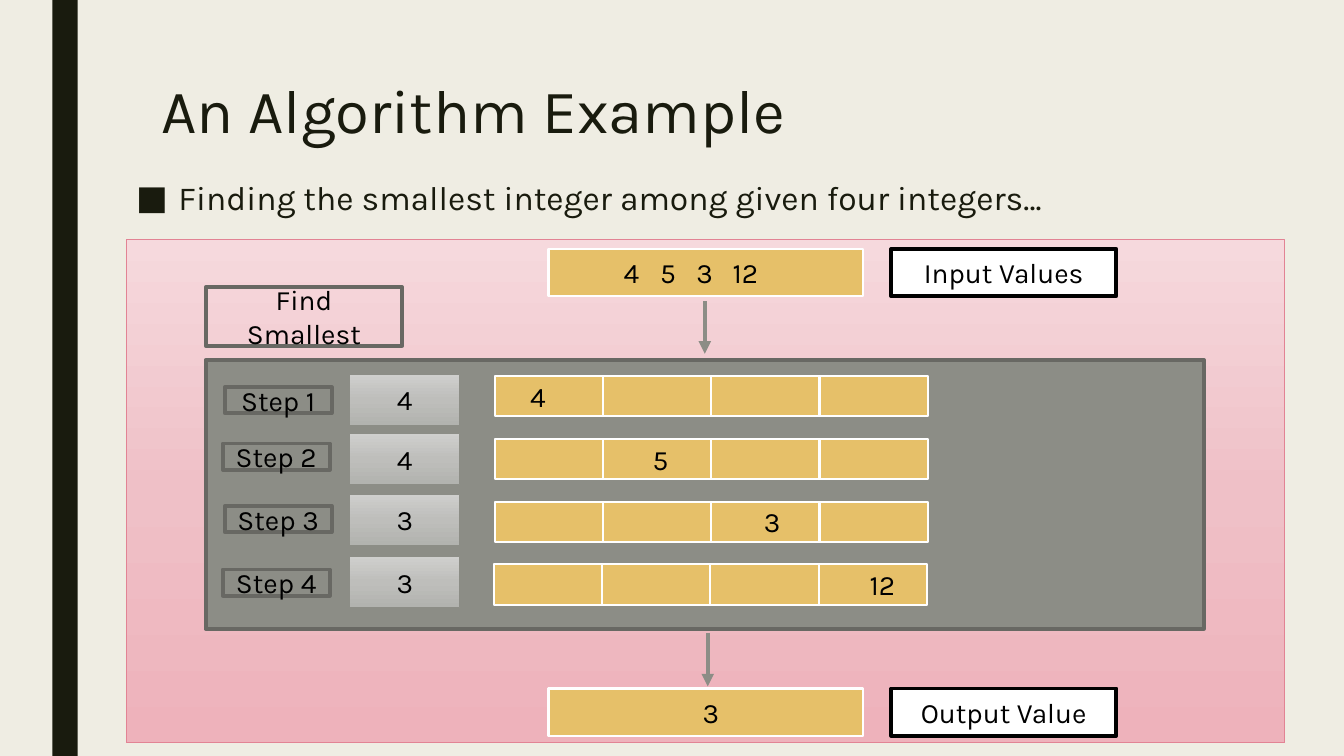
from copy import deepcopy
from dataclasses import dataclass
from typing import NamedTuple

from lxml.etree import SubElement as Sub
from pptx import Presentation
from pptx.dml.color import RGBColor as Rgb
from pptx.enum.shapes import MSO_CONNECTOR as Conn, MSO_SHAPE as Kind
from pptx.enum.text import MSO_ANCHOR as Anchor, PP_ALIGN as Align
from pptx.oxml.ns import qn
from pptx.util import Inches, Pt

WIDE, HIGH = Inches(13.33), Inches(7.5)


@dataclass(frozen=True)
class Theme:
    font: str = "Karla"
    head: int = 44
    lead: int = 24
    body: int = 20
    page: str = "EFEDE3"
    ink: str = "191B0E"
    black: str = "000000"
    white: str = "FFFFFF"
    gold: str = "E6C069"
    gray: str = "8C8D86"
    edge: str = "686863"
    rose: str = "E28394"
    blush: tuple[str, ...] = ("F6D9DD", "EFC0C7", "EEB2BB")
    steel: tuple[str, ...] = ("CFCFCD", "BEBEBB", "B2B3AF")


T = Theme()


class Look(NamedTuple):
    fill: str | tuple[str, ...] | None
    line: str | None
    width: float = 0


BAR = Look(T.ink, None)
PANEL = Look(T.blush, T.rose, 0.5)
GOLD = Look(T.gold, T.white, 1.5)
LABEL = Look(T.white, T.black, 2.75)
STAGE = Look(T.gray, T.edge, 2.75)
VALUE = Look(T.steel, T.gray, 0.5)
NAME = Look(None, T.edge, 2.75)


class Box(NamedTuple):
    """Place and size in percent of the slide's width and height."""
    x: float
    y: float
    w: float
    h: float

    def emu(self) -> tuple[int, ...]:
        sides = (WIDE, HIGH, WIDE, HIGH)
        return tuple(round(v * s / 100) for v, s in zip(self, sides))


class Step(NamedTuple):
    least: str    # smallest value so far
    seen: str     # value being read
    shift: float  # sideways move of that value, percent of width
    name: tuple[float, float]
    top: float    # top of the gray value box
    left: float   # left edge of the gold row


STEPS = (
    Step("4", "4", -0.82, (16.73, 51.2), 49.47, 36.83),
    Step("4", "5", 0.25, (16.58, 58.67), 57.33, 36.83),
    Step("3", "3", 0.5, (16.73, 66.93), 65.33, 36.83),
    Step("3", "12", 0.72, (16.58, 75.33), 73.6, 36.76),
)
COL, ROW, FIRST = 8.05, 8.31, 49.73


def write(shape, text: str, *, size: int = T.body, color: str = T.black,
          align=Align.CENTER, anchor=Anchor.MIDDLE, space: float | None = None,
          shift: float = 0, pad: float = 0.75):
    """Put text in a shape; shift and pad are percent of slide width."""
    frame = shape.text_frame
    frame.word_wrap = True
    frame.vertical_anchor = anchor
    frame.margin_left = round(WIDE * (pad + max(2 * shift, 0)) / 100)
    frame.margin_right = round(WIDE * (pad + max(-2 * shift, 0)) / 100)
    para = frame.paragraphs[0]
    para.alignment = align
    if space:
        para.line_spacing = space
    run = para.add_run()
    run.text = text
    run.font.name, run.font.size = T.font, Pt(size)
    run.font.color.rgb = Rgb.from_string(color)
    return para


def shade(shape, tones: tuple[str, ...]) -> None:
    fill = shape.fill
    fill.gradient()
    fill.gradient_angle = 270
    stops = next(shape.element.iter(qn("a:gsLst")))
    stops.append(deepcopy(stops[-1]))
    for i, (stop, tone) in enumerate(zip(fill.gradient_stops, tones)):
        stop.position = i / (len(tones) - 1)
        stop.color.rgb = Rgb.from_string(tone)


def block(slide, box: Box, look: Look):
    shape = slide.shapes.add_shape(Kind.RECTANGLE, *box.emu())
    shape.shadow.inherit = False
    if look.fill is None:
        shape.fill.background()
    elif isinstance(look.fill, tuple):
        shade(shape, look.fill)
    else:
        shape.fill.solid()
        shape.fill.fore_color.rgb = Rgb.from_string(look.fill)
    if look.line:
        shape.line.color.rgb = Rgb.from_string(look.line)
        shape.line.width = Pt(look.width)
    else:
        shape.line.fill.background()
    return shape


def arrow(slide, x: float, top: float, end: float) -> None:
    left, y, _, tall = Box(x, top, 0, end - top).emu()
    line = slide.shapes.add_connector(Conn.STRAIGHT, left, y, left, y + tall)
    line.line.color.rgb = Rgb.from_string(T.gray)
    line.line.width = Pt(3)
    Sub(line.line.fill._xPr, qn("a:tailEnd"), type="triangle")
    Sub(line.element.spPr, qn("a:effectLst"))


def heading(slide) -> None:
    title = slide.shapes.title
    title.left, title.top, title.width, title.height = Box(
        11.25, 10, 78.77, 21.6).emu()
    write(title, "An Algorithm Example", size=T.head, color=T.ink,
          align=Align.LEFT, anchor=Anchor.TOP, space=0.89)
    lead = slide.shapes.add_textbox(*Box(9.38, 23.2, 81.25, 70).emu())
    para = write(lead, "Finding the smallest integer among given four integers…",
                 size=T.lead, color=T.ink, align=Align.LEFT,
                 anchor=Anchor.TOP, space=0.94)
    para.space_before, para.space_after = Pt(10), Pt(2)
    props = para._p.get_or_add_pPr()
    props.set("marL", str(Inches(0.42)))
    props.set("indent", str(-Inches(0.42)))
    Sub(props, qn("a:buFont"), typeface=T.font)
    Sub(props, qn("a:buChar"), char="■")


def ends(slide) -> None:
    """Input row above the stage and output row below it."""
    source, result = (block(slide, Box(40.81, y, 23.41, 6.27), GOLD)
                      for y in (32.93, 91.07))
    para = write(source, "4\t5\t3\t12", align=Align.LEFT, pad=5.6)
    tabs = Sub(para._p.get_or_add_pPr(), qn("a:tabLst"))
    for i in range(1, 4):
        Sub(tabs, qn("a:tab"), pos=str(Inches(0.36) * i), algn="l")
    write(result, "3", shift=0.38)
    for y, text in ((32.93, "Input Values"), (91.07, "Output Value")):
        write(block(slide, Box(66.32, y, 16.73, 6.27), LABEL), text)
    arrow(slide, 52.44, 39.87, 46.8)
    arrow(slide, 52.66, 83.73, 90.8)


def steps(slide) -> None:
    block(slide, Box(15.3, 47.6, 74.27, 35.6), STAGE)
    for i, step in enumerate(STEPS):
        write(block(slide, Box(26.03, step.top, 8.18, 6.8), VALUE), step.least)
        write(block(slide, Box(*step.name, 7.95, 3.47), STAGE), f"Step {i + 1}")
        for j in range(len(STEPS)):
            cell = block(slide, Box(step.left + j * COL, FIRST + i * ROW,
                                    COL, 5.33), GOLD)
            if j == i:
                write(cell, step.seen, shift=step.shift)
    write(block(slide, Box(15.3, 38, 14.63, 7.73), NAME), "Find Smallest",
          pad=1.2)


def main() -> None:
    deck = Presentation()
    deck.slide_width, deck.slide_height = WIDE, HIGH
    slide = deck.slides.add_slide(deck.slide_layouts[5])
    slide.background.fill.solid()
    slide.background.fill.fore_color.rgb = Rgb.from_string(T.page)
    # Frame and heading
    block(slide, Box(3.9, 0, 1.88, 100), BAR)
    heading(slide)
    # Diagram
    block(slide, Box(9.38, 31.73, 86.2, 66.53), PANEL)
    ends(slide)
    steps(slide)
    deck.save("out.pptx")


if __name__ == "__main__":
    main()
